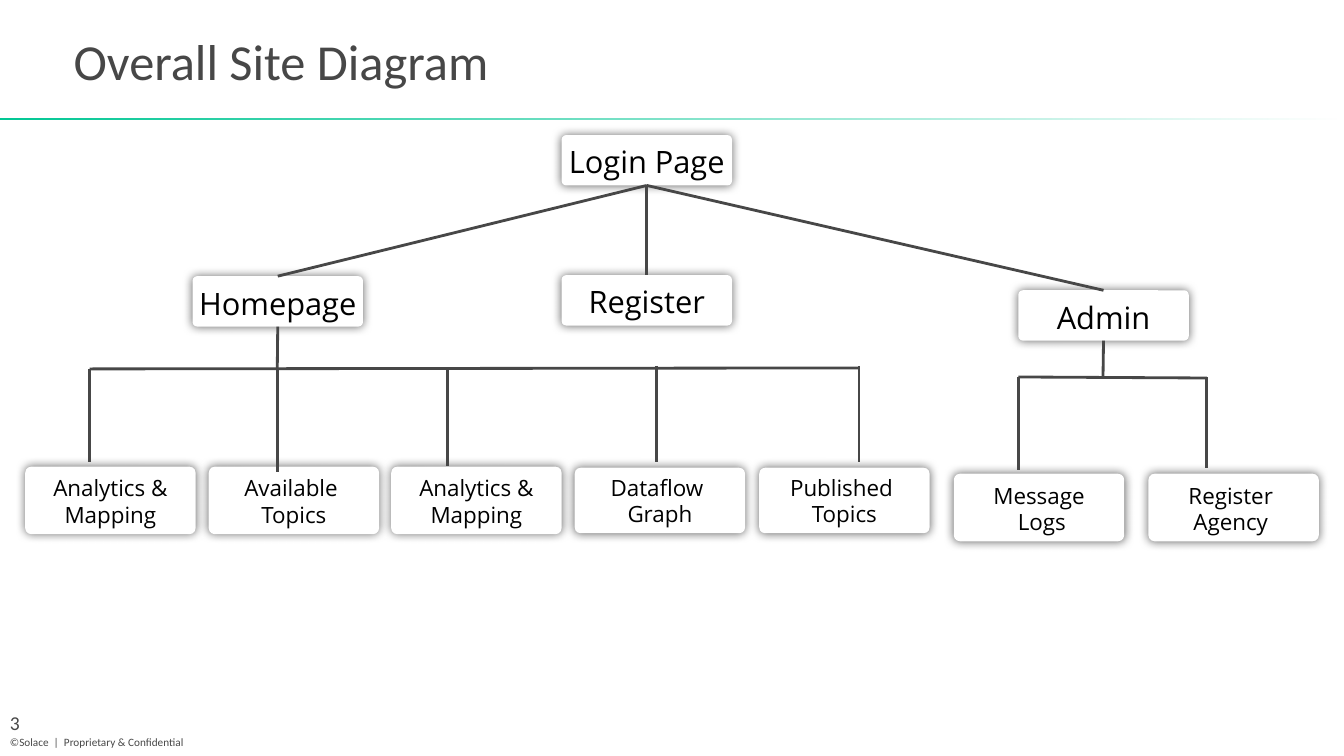
from lxml import etree
from pptx import Presentation
from pptx.dml.color import RGBColor
from pptx.enum.shapes import MSO_CONNECTOR, MSO_SHAPE
from pptx.enum.text import MSO_ANCHOR, MSO_AUTO_SIZE, PP_ALIGN
from pptx.oxml import parse_xml
from pptx.oxml.ns import qn
from pptx.util import Inches, Pt

STRAIGHT = MSO_CONNECTOR.STRAIGHT
RECTANGLE, ROUNDED = MSO_SHAPE.RECTANGLE, MSO_SHAPE.ROUNDED_RECTANGLE
MIDDLE, BOTTOM = MSO_ANCHOR.MIDDLE, MSO_ANCHOR.BOTTOM
LEFT, CENTER = PP_ALIGN.LEFT, PP_ALIGN.CENTER
NO_AUTOFIT = MSO_AUTO_SIZE.NONE

COLORS = {"ink": "474747", "accent": "00C895", "card": "FFFFFF", "label": "000000"}
TOP_SIDE, BOTTOM_SIDE = 0, 2
CARD_WIDTH = 1.69
GLOW = (
    '<a:effectLst xmlns:a="http://schemas.openxmlformats.org/drawingml/2006/main">'
    '<a:outerShdw blurRad="88900" dist="0" dir="0" algn="ctr" rotWithShape="0">'
    '<a:srgbClr val="000000"><a:alpha val="60000"/></a:srgbClr>'
    "</a:outerShdw></a:effectLst>"
)


def color(name):
    return RGBColor.from_string(COLORS[name])


def write(box, text, size, font, ink, anchor, align=LEFT, inset=None, spacing=None):
    frame = box.text_frame
    frame.text = text
    frame_format = {"word_wrap": True, "auto_size": NO_AUTOFIT, "vertical_anchor": anchor}
    if inset is not None:
        for side in ("left", "top", "right", "bottom"):
            frame_format[f"margin_{side}"] = Inches(inset)
    for name, value in frame_format.items():
        setattr(frame, name, value)
    for para in frame.paragraphs:
        para.alignment = align
        para.line_spacing = spacing
        para.font.size = Pt(size)
        para.font.name = font
        para.font.color.rgb = color(ink)


def add_header(slide, left, top, width, height):
    title = slide.shapes.title
    place = {"left": left, "top": top, "width": width, "height": height}
    for name, value in place.items():
        setattr(title, name, Inches(value))
    write(title, "Overall Site Diagram", 36, "Calibri", "ink", MIDDLE,
          inset=0.08, spacing=0.9)

    rule = slide.shapes.add_shape(
        RECTANGLE, 0, Inches(top + height + 0.01), Inches(13.33), Inches(0.01))
    rule.shadow.inherit = False
    rule.line.fill.background()
    rule.fill.gradient()
    rule.fill.gradient_angle = 0
    for stop in rule.fill.gradient_stops:
        stop.color.rgb = color("accent")
    faded = rule._element.xpath(".//a:gs/a:srgbClr")[-1]
    etree.SubElement(faded, qn("a:alpha")).set("val", "0")


def add_footer(slide, left, top):
    lines = [
        ("3", 14, 0, 0.55, 0.25),
        ("©Solace  |  Proprietary & Confidential", 8, 0.19, 1.98, 0.27),
    ]
    for text, size, offset, width, height in lines:
        box = slide.shapes.add_textbox(
            Inches(left), Inches(top + offset), Inches(width), Inches(height))
        write(box, text, size, "Calibri", "ink", MIDDLE)


def add_card(slide, text, left, top, height=0.5, size=22):
    card = slide.shapes.add_shape(
        ROUNDED, Inches(left), Inches(top), Inches(CARD_WIDTH), Inches(height))
    card.adjustments[0] = 0.091
    card.fill.solid()
    card.fill.fore_color.rgb = color("card")
    card.line.fill.background()
    card._element.spPr.append(parse_xml(GLOW))
    write(card, text, size, "Open Sans", "label", BOTTOM, CENTER, inset=0.04)
    return card


def add_line(slide, start, end):
    line = slide.shapes.add_connector(
        STRAIGHT, *(Inches(value) for value in (*start, *end)))
    line.line.color.rgb = color("ink")
    line.line.width = Pt(2)
    etree.SubElement(line._element.spPr, qn("a:effectLst"))
    return line


def add_branch(slide, parent, stem_end, bar, drops, children):
    """Hang a row of child cards under a parent card by a stem, a bar and drops."""
    for text, left, top, height in children:
        add_card(slide, text, left, top, height, 16)
    add_line(slide, stem_end, stem_end).begin_connect(parent, BOTTOM_SIDE)
    add_line(slide, *bar)
    for x, top, bottom in drops:
        add_line(slide, (x, top), (x, bottom))


def add_site_tree(slide, left, top):
    login = add_card(slide, "Login Page", left + 5.32, top)
    homepage = add_card(slide, "Homepage", left + 1.66, top + 1.4)
    register = add_card(slide, "Register", left + 5.32, top + 1.39)
    admin = add_card(slide, "Admin", left + 9.85, top + 1.54)
    for page in (homepage, register, admin):
        line = add_line(slide, (left, top), (left, top))
        line.begin_connect(login, BOTTOM_SIDE)
        line.end_connect(page, TOP_SIDE)

    bar_y, row = top + 2.32, top + 3.29
    add_branch(
        slide, homepage, (left + 2.5, bar_y),
        ((left + 0.64, bar_y), (left + 8.27, bar_y - 0.01)),
        [(left + 0.64, bar_y, row - 0.05),
         (left + 2.5, bar_y, row + 0.05),
         (left + 4.19, bar_y, row - 0.01),
         (left + 6.26, bar_y - 0.03, row - 0.05),
         (left + 8.27, bar_y - 0.03, row - 0.05)],
        [("Analytics & Mapping", left, row, 0.67),
         ("Available \nTopics", left + 1.82, row, 0.67),
         ("Analytics & Mapping", left + 3.63, row, 0.67),
         ("Dataflow \nGraph", left + 5.45, row + 0.01, 0.65),
         ("Published \nTopics", left + 7.28, row + 0.01, 0.65)])

    bar_y, row = top + 2.4, top + 3.36
    add_branch(
        slide, admin, (left + 10.69, bar_y),
        ((left + 9.85, bar_y), (left + 11.72, bar_y + 0.01)),
        [(left + 9.85, bar_y, row - 0.04),
         (left + 11.72, bar_y, row - 0.06)],
        [("Message\n Logs", left + 9.21, row, 0.67),
         ("Register \nAgency ", left + 11.14, row, 0.67)])


def main():
    deck = Presentation()
    deck.slide_width, deck.slide_height = Inches(13.33), Inches(7.5)
    slide = deck.slides.add_slide(deck.slide_layouts[5])
    add_header(slide, 0.65, 0.1, 12.06, 1.07)
    add_footer(slide, 0, 7.04)
    add_site_tree(slide, 0.25, 1.34)
    deck.save("out.pptx")


if __name__ == "__main__":
    main()
